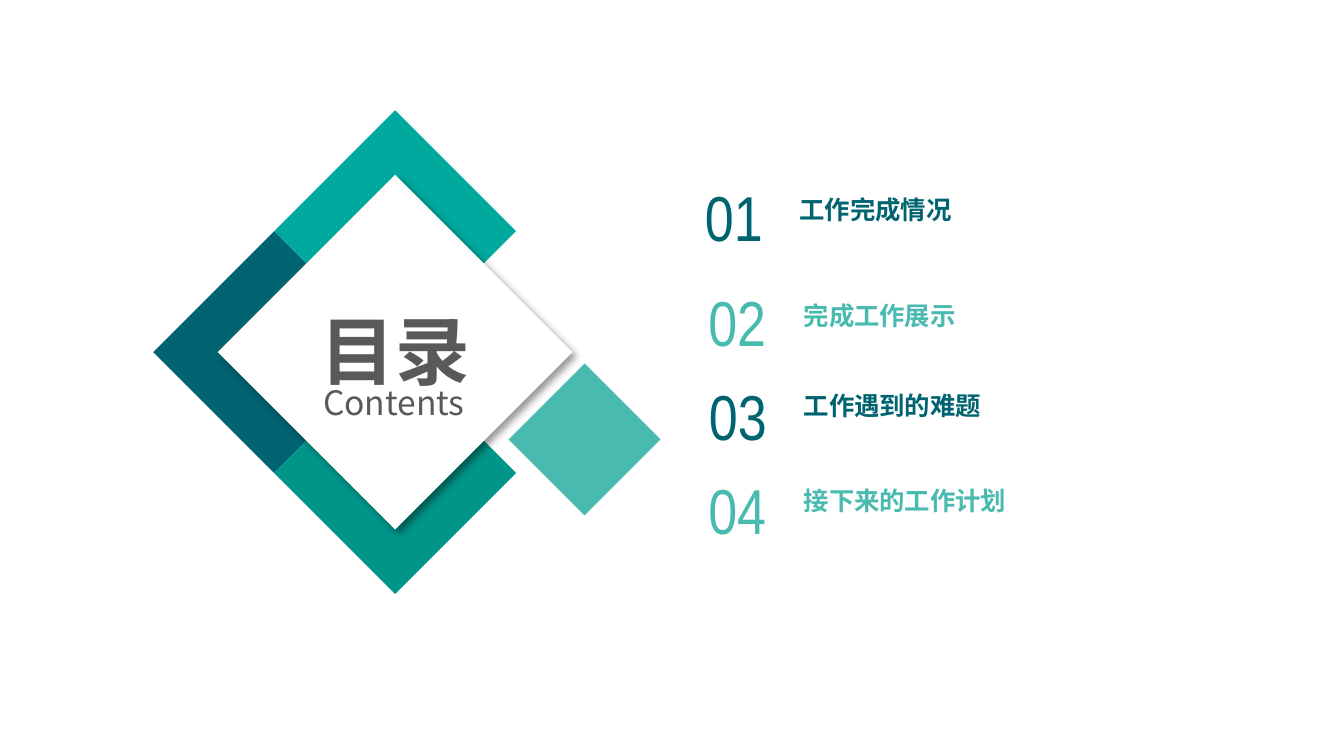
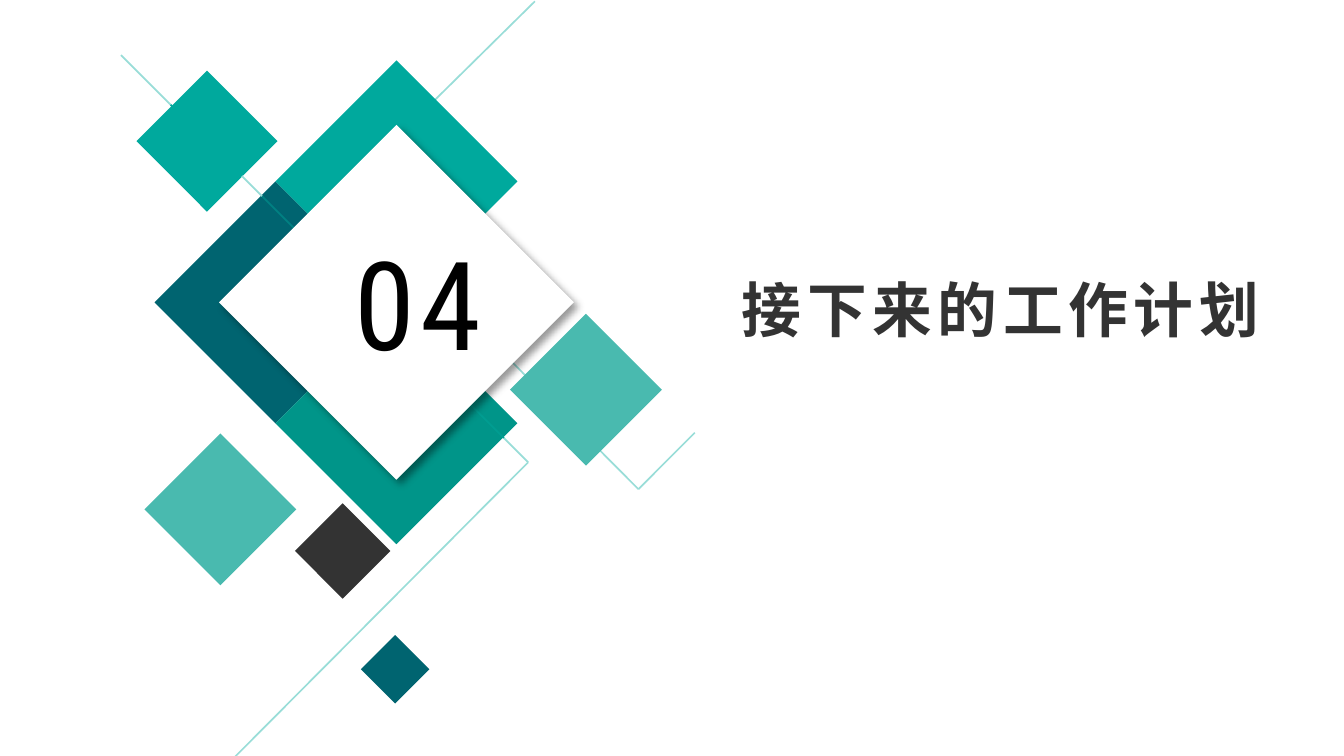
"""Build a contents slide and a section slide around one diamond emblem."""
import itertools
from dataclasses import dataclass, field
from typing import Any, NamedTuple

import pptx
import pptx.dml.color
import pptx.enum.shapes
import pptx.enum.text
import pptx.oxml.ns
import pptx.util
from lxml import etree
from pptx.util import Inches

DEEP, TEAL, GREEN, MINT = "006470", "00A99D", "009589", "49BAAF"
PALE, WHITE, BLACK, CHARCOAL, GREY = "99DDD8", "FFFFFF", "000000", "333333", "595959"
HEADING_FONT, MENU_FONT, SECTION_FONT = "Noto Sans CJK SC", "Arial Narrow", "Roboto Condensed"
ALIGN = pptx.enum.text.PP_ALIGN
ANCHOR = pptx.enum.text.MSO_ANCHOR
SHAPE = pptx.enum.shapes.MSO_SHAPE
CONNECTOR = pptx.enum.shapes.MSO_CONNECTOR
PADDING = (0.1, 0.05, 0.1, 0.05)
NO_PADDING = (0, 0, 0, 0)


class Diamond(NamedTuple):
    """A square standing on its corner, placed by its centre."""
    x: float
    y: float
    size: float
    color: str
    raised: bool = False


class Trail(NamedTuple):
    """A thin line through several points, with one colour per segment."""
    points: tuple[tuple[float, float], ...]
    colors: tuple[str, ...]


class MenuItem(NamedTuple):
    """One line of the contents list."""
    label: str
    color: str
    number_top: float
    number_width: float
    label_left: float
    label_top: float


@dataclass
class Label:
    """A text box with a single run."""
    text: str
    box: tuple[float, float, float, float]
    font: str
    size: float
    color: str
    bold: bool = False
    spacing: int = 0
    frame: dict[str, Any] = field(default_factory=dict)
    align: Any = ALIGN.LEFT
    padding: tuple[float, float, float, float] = PADDING


FRAME = (
    Diamond(-0.9, 0, 1.8, DEEP),
    Diamond(0, -0.9, 1.8, TEAL),
    Diamond(0, 0.9, 1.8, GREEN),
)
FRONT = (
    Diamond(0, 0, 2.64, WHITE, raised=True),
    Diamond(1.41, 0.65, 1.13, MINT),
)
BACK_DIAMONDS = (
    Diamond(1.54, 1.05, 1.05, TEAL),
    Diamond(2.55, 4.1, 0.71, CHARCOAL),
)
FRONT_DIAMONDS = (
    Diamond(1.64, 3.79, 1.13, MINT),
    Diamond(2.94, 4.98, 0.51, DEEP),
)
TRAILS = (
    Trail(((3.98, 0.01), (3.24, 0.74), (2.55, 1.44), (3.16, 2.04), (4.75, 3.64), (5.17, 3.22)),
          (PALE, TEAL, TEAL, PALE, PALE)),
    Trail(((0.9, 0.41), (1.27, 0.78), (1.8, 1.31), (1.95, 1.46), (2.85, 2.36),
           (3.75, 3.26), (3.93, 3.44), (1.74, 5.64)),
          (PALE, TEAL, PALE, "008082", "009D91", PALE, PALE)),
)
MENU = (
    MenuItem("工作完成情况", DEEP, 1.32, 0.54, 5.56, 1.47),
    MenuItem("完成工作展示", MINT, 2.1, 0.59, 5.59, 2.26),
    MenuItem("工作遇到的难题", DEEP, 2.8, 0.6, 5.59, 2.93),
    MenuItem("接下来的工作计划", MINT, 3.5, 0.59, 5.59, 3.64),
)


def rgb(color: str) -> pptx.dml.color.RGBColor:
    """Turn a hex string into a colour."""
    return pptx.dml.color.RGBColor.from_string(color)


def add_child(parent: Any, tag: str, **attributes: str) -> Any:
    """Append an XML element to a parent."""
    return etree.SubElement(parent, pptx.oxml.ns.qn(tag), attributes)


def add_diamond(slide: Any, diamond: Diamond, x: float = 0, y: float = 0) -> None:
    """Draw a diamond, shifted by x and y."""
    half = diamond.size / 2
    shape = slide.shapes.add_shape(
        SHAPE.DIAMOND, Inches(x + diamond.x - half), Inches(y + diamond.y - half),
        Inches(diamond.size), Inches(diamond.size))
    shape.fill.solid()
    shape.fill.fore_color.rgb = rgb(diamond.color)
    shape.line.fill.background()
    shape.shadow.inherit = False
    if diamond.raised:
        effects = shape.element.spPr.find(pptx.oxml.ns.qn("a:effectLst"))
        shadow = add_child(effects, "a:outerShdw", blurRad=str(pptx.util.Pt(4)),
                           dist=str(pptx.util.Pt(3)), dir="2700000", algn="tl", rotWithShape="0")
        add_child(add_child(shadow, "a:srgbClr", val=BLACK), "a:alpha", val="40000")


def add_trail(slide: Any, trail: Trail) -> None:
    """Draw a trail segment by segment."""
    for (start, end), color in zip(itertools.pairwise(trail.points), trail.colors):
        connector = slide.shapes.add_connector(
            CONNECTOR.STRAIGHT, *(Inches(value) for value in (*start, *end)))
        connector.line.color.rgb = rgb(color)
        connector.line.width = pptx.util.Pt(0.9)
        add_child(connector.element.spPr, "a:effectLst")


def add_label(slide: Any, label: Label) -> None:
    """Draw a text box."""
    shape = slide.shapes.add_textbox(*(Inches(value) for value in label.box))
    frame = shape.text_frame
    sides = ("margin_left", "margin_top", "margin_right", "margin_bottom")
    margins = {side: Inches(value) for side, value in zip(sides, label.padding)}
    for name, value in ({"word_wrap": True} | margins | label.frame).items():
        setattr(frame, name, value)
    paragraph = frame.paragraphs[0]
    paragraph.alignment = label.align
    run = paragraph.add_run()
    run.text = label.text
    formats = {"name": label.font, "size": pptx.util.Pt(label.size), "bold": label.bold}
    for name, value in formats.items():
        setattr(run.font, name, value)
    run.font.color.rgb = rgb(label.color)
    properties = run.font._element
    add_child(properties, "a:ea", typeface=label.font)
    if label.spacing:
        properties.set("spc", str(label.spacing * 100))


def add_menu_item(slide: Any, number: int, item: MenuItem) -> None:
    """Draw a number and its label."""
    add_label(slide, Label(
        f"{number:02}", (5.19, item.number_top, item.number_width, 0.58), MENU_FONT, 34, item.color,
        frame={"word_wrap": False, "vertical_anchor": ANCHOR.MIDDLE}, align=ALIGN.CENTER,
        padding=NO_PADDING))
    add_label(slide, Label(
        item.label, (item.label_left, item.label_top, 3.25, 0.2), HEADING_FONT, 13.6, item.color,
        bold=True, frame={"word_wrap": False, "vertical_anchor": ANCHOR.BOTTOM},
        padding=(0.39, 0, 0, 0)))


def add_emblem(slide: Any, x: float, y: float, back: tuple[Diamond, ...] = (),
               trails: tuple[Trail, ...] = (), front: tuple[Diamond, ...] = ()) -> None:
    """Draw the shared emblem with its decoration in between."""
    for diamond in FRAME:
        add_diamond(slide, diamond, x, y)
    for diamond in back:
        add_diamond(slide, diamond)
    for trail in trails:
        add_trail(slide, trail)
    for diamond in FRONT:
        add_diamond(slide, diamond, x, y)
    for diamond in front:
        add_diamond(slide, diamond)


def build_contents(slide: Any) -> None:
    """Fill the contents slide."""
    add_emblem(slide, 2.94, 2.62)
    for number, item in enumerate(MENU, start=1):
        add_menu_item(slide, number, item)
    add_label(slide, Label(
        "Contents", (2.19, 2.72, 1.48, 0.42), HEADING_FONT, 18, GREY,
        frame={"vertical_anchor": ANCHOR.BOTTOM}, align=ALIGN.CENTER, padding=NO_PADDING))
    add_label(slide, Label(
        "目录", (2.2, 2.22, 1.48, 0.76), HEADING_FONT, 40, GREY, bold=True, align=ALIGN.CENTER))


def build_section(slide: Any) -> None:
    """Fill the section slide."""
    grow = {"auto_size": pptx.enum.text.MSO_AUTO_SIZE.SHAPE_TO_FIT_TEXT}
    add_label(slide, Label(
        MENU[3].label, (5.42, 1.98, 5.08, 0.64), HEADING_FONT, 32, CHARCOAL,
        bold=True, spacing=3, frame=grow))
    add_emblem(slide, 2.95, 2.25, BACK_DIAMONDS, TRAILS, FRONT_DIAMONDS)
    add_label(slide, Label(
        "04", (2.54, 1.64, 1.18, 1.21), SECTION_FONT, 66, BLACK, spacing=3, frame=grow))


def main() -> None:
    """Create and save the presentation."""
    presentation = pptx.Presentation()
    presentation.slide_width = Inches(10)
    presentation.slide_height = Inches(10 * 9 / 16)
    for build in (build_contents, build_section):
        slide = presentation.slides.add_slide(presentation.slide_layouts[6])
        slide.background.fill.solid()
        slide.background.fill.fore_color.rgb = rgb(WHITE)
        build(slide)
    presentation.save("out.pptx")


main()
